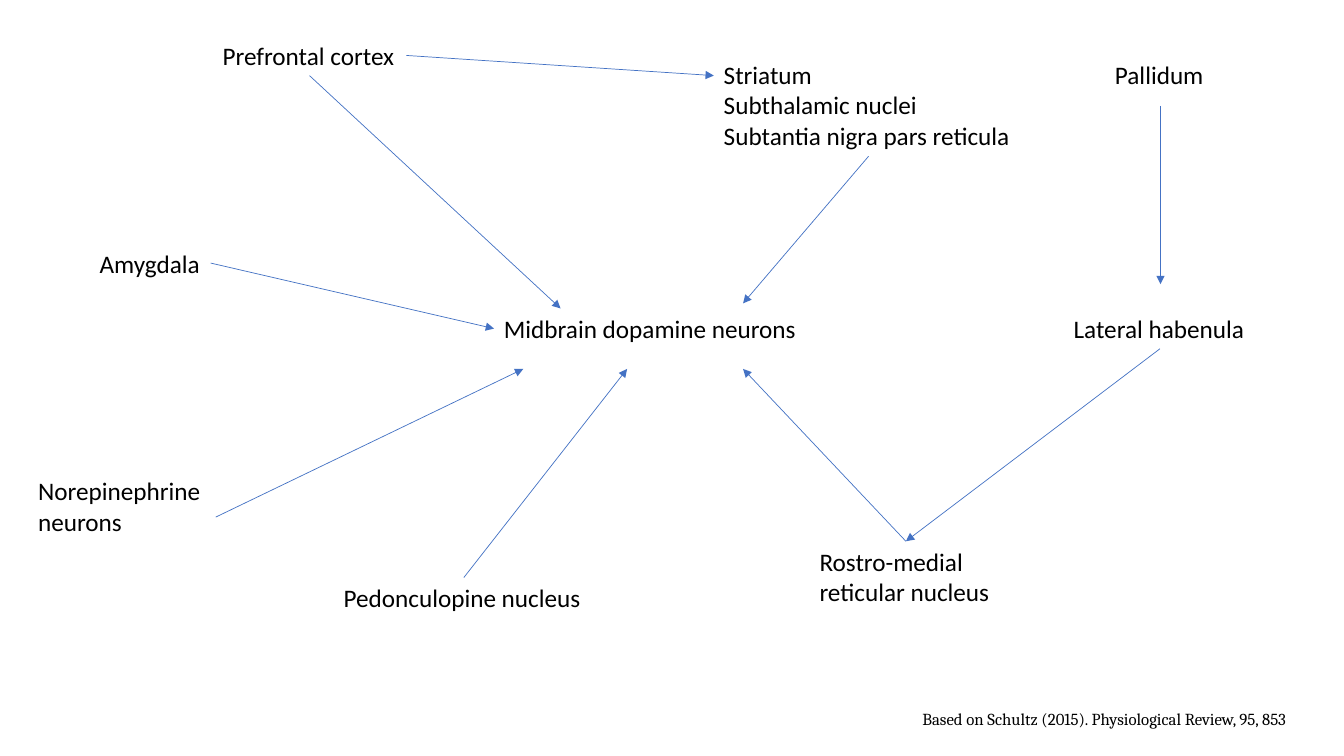
from pptx import Presentation
from pptx.dml.color import RGBColor
from pptx.enum.shapes import MSO_CONNECTOR as Connector
from pptx.enum.text import MSO_AUTO_SIZE as AutoSize
from pptx.oxml.ns import qn
from pptx.util import Inches, Pt
from lxml.etree import SubElement

BLACK = RGBColor(0x00, 0x00, 0x00)
BLUE = RGBColor(0x44, 0x72, 0xC4)
TOP, LEFT, BOTTOM, RIGHT = range(4)

# name: (lines, left, top, width, height)
REGIONS = {
    "midbrain": ("Midbrain dopamine neurons", 4.9, 3.06, 3.13, 0.4),
    "striatum": ("Striatum\nSubthalamic nuclei\nSubtantia nigra pars reticula",
                 7.08, 0.54, 3.07, 1.01),
    "pallidum": ("Pallidum", 10.96, 0.54, 1.09, 0.4),
    "habenula": ("Lateral habenula", 10.55, 3.06, 1.91, 0.4),
    "rostromedial": ("Rostro-medial\nreticular nucleus", 8.03, 5.37, 1.91, 0.71),
    "pedunculopontine": ("Pedonculopine nucleus", 3.31, 5.73, 2.58, 0.4),
    "norepinephrine": ("Norepinephrine\nneurons", 0.28, 4.67, 1.83, 0.71),
    "amygdala": ("Amygdala", 0.89, 2.41, 1.2, 0.4),
    "prefrontal": ("Prefrontal cortex", 2.11, 0.35, 1.92, 0.4),
}

# Each end is either a (region, side) pair or a free (x, y) point.
PROJECTIONS = [
    (("prefrontal", RIGHT), (7.08, 0.75)),
    (("prefrontal", BOTTOM), (5.56, 3.06)),
    (("striatum", BOTTOM), (7.37, 3.01)),
    ((11.51, 1.05), (11.51, 2.82)),
    (("habenula", BOTTOM), ("rostromedial", TOP)),
    (("rostromedial", TOP), (7.37, 3.66)),
    (("amygdala", RIGHT), ("midbrain", LEFT)),
    ((2.14, 5.13), (5.19, 3.66)),
    (("pedunculopontine", TOP), (6.22, 3.66)),
]


class Diagram:
    """Holds the slide, its style and the labels that arrows can join."""

    label_font = "Calibri"
    label_size = Pt(18)
    arrow_width = Pt(0.5)

    def __init__(self, slide):
        self.slide = slide
        self.labels = {}

    def add_text(self, text, left, top, width, height,
                 font=label_font, size=label_size):
        box = self.slide.shapes.add_textbox(
            Inches(left), Inches(top), Inches(width), Inches(height))
        text_frame = box.text_frame
        text_frame.text = text
        text_frame.word_wrap = False
        text_frame.auto_size = AutoSize.SHAPE_TO_FIT_TEXT
        for paragraph in text_frame.paragraphs:
            for run in paragraph.runs:
                run.font.name = font
                run.font.size = size
                run.font.color.rgb = BLACK
        return box

    def add_region(self, name, *placement):
        self.labels[name] = self.add_text(*placement)

    def add_arrow(self, start, end):
        points = []
        for first, second in (start, end):
            free = first not in self.labels
            points += [Inches(first), Inches(second)] if free else [0, 0]
        arrow = self.slide.shapes.add_connector(Connector.STRAIGHT, *points)
        for (name, side), connect in ((start, arrow.begin_connect),
                                      (end, arrow.end_connect)):
            if name in self.labels:
                connect(self.labels[name], side)
        arrow.line.color.rgb = BLUE
        arrow.line.width = self.arrow_width
        SubElement(arrow.line._get_or_add_ln(), qn("a:tailEnd"), type="triangle")
        SubElement(arrow._element.spPr, qn("a:effectLst"))


def main():
    presentation = Presentation()
    presentation.slide_width = Inches(13.33)
    presentation.slide_height = Inches(7.5)
    blank_layout = presentation.slide_layouts[6]
    diagram = Diagram(presentation.slides.add_slide(blank_layout))

    for name, placement in REGIONS.items():
        diagram.add_region(name, *placement)
    for start, end in PROJECTIONS:
        diagram.add_arrow(start, end)
    diagram.add_text("Based on Schultz (2015). Physiological Review, 95, 853",
                     9.05, 6.98, 4, 0.3, font="Cambria", size=Pt(12))

    presentation.save("out.pptx")


if __name__ == "__main__":
    main()
